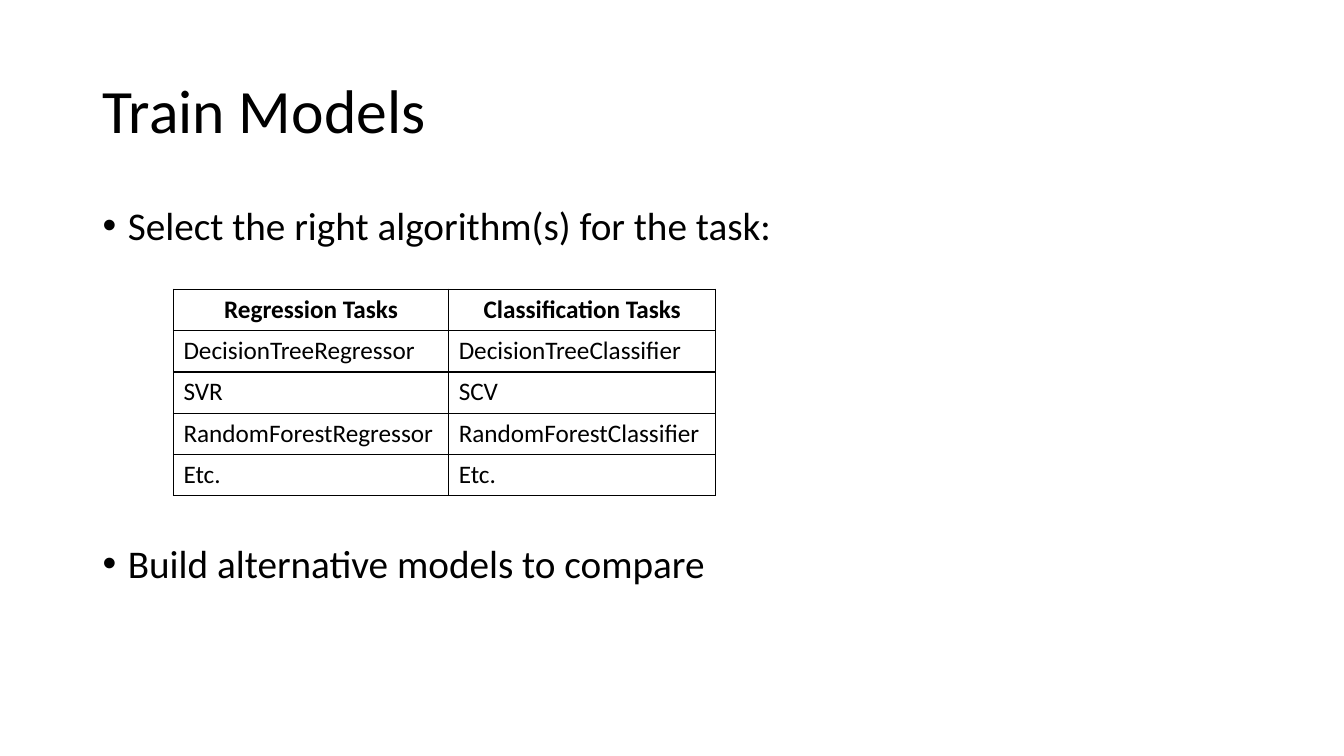
from dataclasses import dataclass

from lxml.etree import SubElement
from pptx import Presentation
from pptx.dml.color import RGBColor
from pptx.enum.text import MSO_ANCHOR as Anchor, PP_ALIGN as Align
from pptx.oxml.ns import qn
from pptx.util import Inches, Pt

TITLE = "Train Models"
# Bullet text and the space before it in points; the second gap holds the table.
BULLETS = [
    ("Select the right algorithm(s) for the task:", 10),
    ("Build alternative models to compare", 211),
]
ALGORITHMS = [
    ("Regression Tasks", "Classification Tasks"),
    ("DecisionTreeRegressor", "DecisionTreeClassifier"),
    ("SVR", "SCV"),
    ("RandomForestRegressor", "RandomForestClassifier"),
    ("Etc.", "Etc."),
]
TITLE_AREA = (0.92, 0.4, 11.5, 1.45)
BODY_AREA = (0.92, 2, 11.5, 4.76)
TABLE_LEFT, TABLE_TOP = 1.72, 2.87
COLUMN_WIDTHS = (2.73, 2.65)
ROW_HEIGHT = 0.41


@dataclass(frozen=True)
class Theme:
    font: str = "Calibri"
    ink: str = "000000"
    paper: str = "FFFFFF"
    title_size: int = 44
    body_size: int = 28
    table_size: int = 18
    line_spacing: float = 0.9
    border: float = 1


THEME = Theme()


def add_span(para, text, size, bold=False):
    span = para.add_run()
    span.text = text
    span.font.name = THEME.font
    span.font.size = Pt(size)
    span.font.bold = bold
    span.font.color.rgb = RGBColor.from_string(THEME.ink)


def add_text_frame(page, area, anchor):
    box = page.shapes.add_textbox(*map(Inches, area))
    frame = box.text_frame
    frame.word_wrap = True
    frame.vertical_anchor = anchor
    return frame


def set_bullet(para):
    """Give the paragraph a round bullet with a hanging indent."""
    props = para._p.get_or_add_pPr()
    props.set("marL", str(Inches(0.25)))
    props.set("indent", str(Inches(-0.25)))
    SubElement(props, qn("a:buFont"), typeface="Arial")
    SubElement(props, qn("a:buChar"), char="•")


def set_borders(cell):
    props = cell._tc.get_or_add_tcPr()
    for index, side in enumerate(("lnL", "lnR", "lnT", "lnB")):
        line = props.makeelement(qn(f"a:{side}"), {"w": str(Pt(THEME.border))})
        fill = SubElement(line, qn("a:solidFill"))
        SubElement(fill, qn("a:srgbClr"), val=THEME.ink)
        props.insert(index, line)


def add_title(page):
    para = add_text_frame(page, TITLE_AREA, Anchor.MIDDLE).paragraphs[0]
    para.line_spacing = THEME.line_spacing
    add_span(para, TITLE, THEME.title_size)


def add_bullets(page):
    frame = add_text_frame(page, BODY_AREA, Anchor.TOP)
    for index, (text, gap) in enumerate(BULLETS):
        para = frame.add_paragraph() if index else frame.paragraphs[0]
        para.line_spacing = THEME.line_spacing
        para.space_before = Pt(gap)
        set_bullet(para)
        add_span(para, text, THEME.body_size)


def add_algorithm_table(page):
    rows = len(ALGORITHMS)
    area = (TABLE_LEFT, TABLE_TOP, sum(COLUMN_WIDTHS), rows * ROW_HEIGHT)
    table = page.shapes.add_table(
        rows, len(COLUMN_WIDTHS), *map(Inches, area)
    ).table
    table.first_row = table.horz_banding = False
    for column, width in zip(table.columns, COLUMN_WIDTHS):
        column.width = Inches(width)
    for row, names in enumerate(ALGORITHMS):
        table.rows[row].height = Inches(ROW_HEIGHT)
        header = row == 0
        for column, name in enumerate(names):
            cell = table.cell(row, column)
            cell.fill.solid()
            cell.fill.fore_color.rgb = RGBColor.from_string(THEME.paper)
            set_borders(cell)
            para = cell.text_frame.paragraphs[0]
            para.alignment = Align.CENTER if header else Align.LEFT
            add_span(para, name, THEME.table_size, bold=header)


def main():
    deck = Presentation()
    deck.slide_width, deck.slide_height = Inches(13.33), Inches(7.5)
    page = deck.slides.add_slide(deck.slide_layouts[6])
    add_title(page)
    add_bullets(page)
    add_algorithm_table(page)
    deck.save("out.pptx")


if __name__ == "__main__":
    main()
